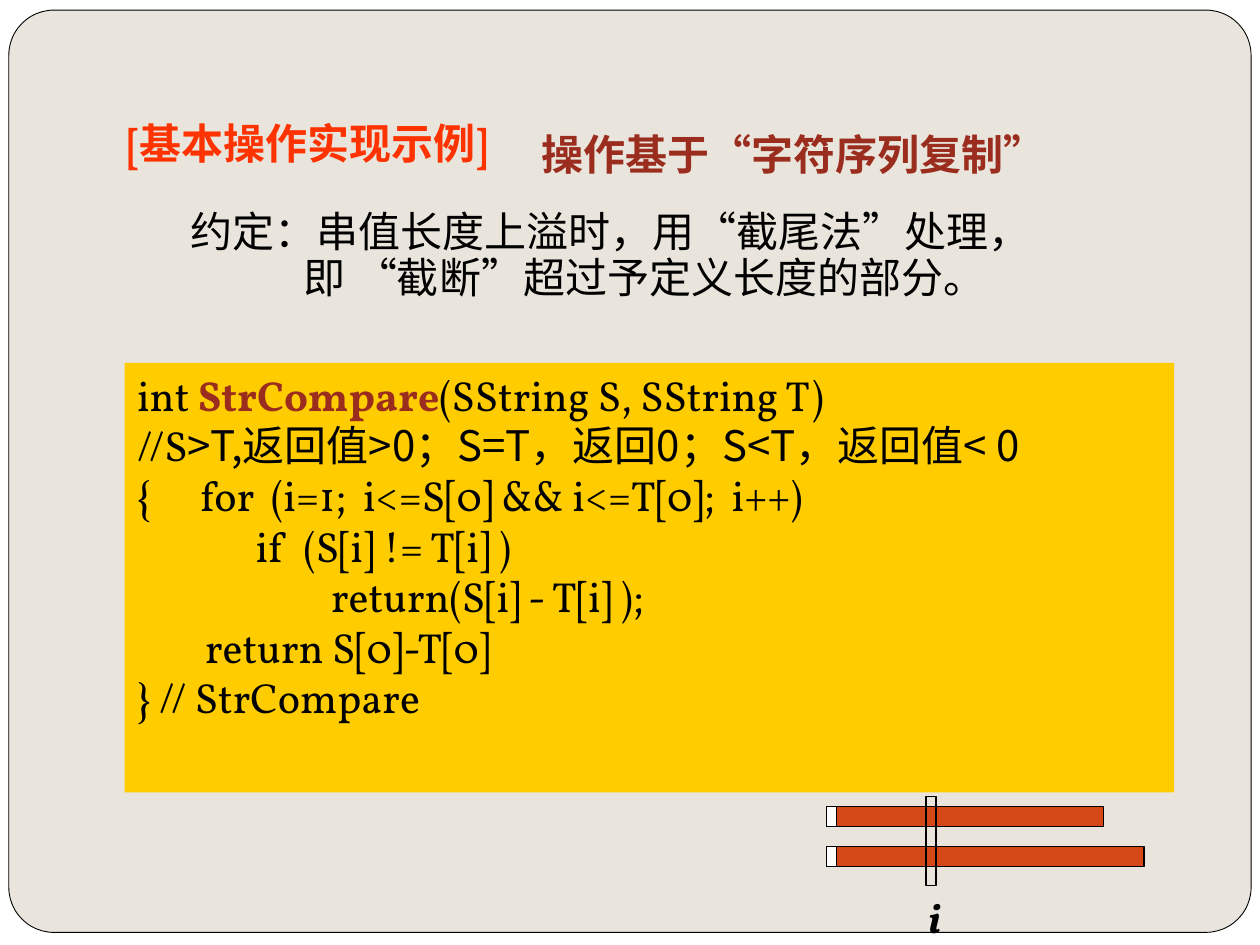
from lxml import etree
from pptx import Presentation
from pptx.dml.color import RGBColor
from pptx.enum.shapes import MSO_SHAPE
from pptx.enum.text import MSO_ANCHOR, PP_ALIGN
from pptx.oxml.ns import qn
from pptx.util import Inches, Pt

LATIN, CJK = "Vollkorn", "Noto Sans CJK SC"
BLACK = RGBColor(0, 0, 0)
WHITE = RGBColor(255, 255, 255)
PAPER = RGBColor(0xE9, 0xE5, 0xDC)
RED = RGBColor(0xFF, 0x33, 0x00)
MAROON = RGBColor(0x9B, 0x2D, 0x1F)
YELLOW = RGBColor(0xFF, 0xCC, 0x00)
ORANGE = RGBColor(0xD3, 0x48, 0x17)

# Content: paragraphs are (indent in inches, runs); runs are (text, format)
HEADING = [(0, [("[基本操作实现示例]", dict(color=RED, bold=True))])]
SUBHEADING = [(0, [("操作基于“字符序列复制”", dict(color=MAROON, bold=True))])]
CONVENTION = [
    (0.5, [("约定：串值长度上溢时，用“截尾法”处理，", {})]),
    (1.4, [("即 “截断”超过予定义长度的部分。", {})]),
]
CODE = [
    (0, [("int ", {}), ("StrCompare", dict(color=MAROON, bold=True)),
         ("(SString S, SString T)", {})]),
    (0, [("//S", {}),
         (">T,返回值>0；S=T，返回0；S<T，返回值< 0", dict(font=CJK))]),
    (0, [("{\tfor  (i=1;  i<=S[0] && i<=T[0];  i++)", {})]),
    (0.94, [("if  (S[i] != T[i] )", {})]),
    (1.54, [("return(S[i] - T[i] );", {})]),
    (0.54, [("return S[0]-T[0]", {})]),
    (0, [("} // StrCompare", {})]),
]
INDEX = [(0, [("i", dict(bold=True, italic=True))])]
FOR_TAB = 0.44
STRING_LENGTHS = [2.2, 2.52]

prs = Presentation()
prs.slide_width, prs.slide_height = Inches(10), Inches(7.5)
slide = prs.slides.add_slide(prs.slide_layouts[1])
shapes = slide.shapes


def place(shape, left, top, width, height):
    shape.left, shape.top = Inches(left), Inches(top)
    shape.width, shape.height = Inches(width), Inches(height)
    return shape


def write(shape, paragraphs, line_spacing=1.0):
    frame = shape.text_frame
    frame.word_wrap = True
    frame.vertical_anchor = MSO_ANCHOR.TOP
    for n, (indent, runs) in enumerate(paragraphs):
        para = frame.add_paragraph() if n else frame.paragraphs[0]
        para.alignment = PP_ALIGN.LEFT
        para.line_spacing = line_spacing
        para.space_before = Pt(0)
        props = para._p.get_or_add_pPr()
        props.set("marL", str(Inches(indent)))
        props.set("indent", "0")
        etree.SubElement(props, qn("a:buNone"))
        if "\t" in runs[0][0]:
            tabs = etree.SubElement(props, qn("a:tabLst"))
            etree.SubElement(tabs, qn("a:tab"), pos=str(Inches(FOR_TAB)), algn="l")
        for text, style in runs:
            run = para.add_run()
            run.text = text
            font = run.font
            font.size = Pt(24)
            font.name = style.get("font", LATIN)
            font.bold = style.get("bold", False)
            font.italic = style.get("italic", False)
            font.color.rgb = style.get("color", BLACK)
            etree.SubElement(run._r.get_or_add_rPr(), qn("a:ea"), typeface=CJK)


def box(left, top, width, height, fill=None, line=None, kind=MSO_SHAPE.RECTANGLE):
    shape = shapes.add_shape(kind, *map(Inches, (left, top, width, height)))
    shape.shadow.inherit = False
    if fill is None:
        shape.fill.background()
    else:
        shape.fill.solid()
        shape.fill.fore_color.rgb = fill
    if line is None:
        shape.line.fill.background()
    else:
        shape.line.color.rgb = BLACK
        shape.line.width = Pt(line)
    return shape


# Rounded page on a white background, behind everything
slide.background.fill.solid()
slide.background.fill.fore_color.rgb = WHITE
page = box(0.07, 0.08, 9.86, 7.32, PAPER, 0.5, MSO_SHAPE.ROUNDED_RECTANGLE)
page.adjustments[0] = 0.049
shapes._spTree.insert(2, page._element)

# Headings and convention
write(place(shapes.title, 0.91, 0.88, 3.5, 0.5), HEADING)
write(place(slide.placeholders[1], 0.91, 1.63, 7.67, 0.9), CONVENTION, 0.9)
write(shapes.add_textbox(*map(Inches, (4.2, 0.97, 4.57, 0.5))), SUBHEADING)

# Code panel
write(box(0.99, 2.88, 8.33, 3.41, YELLOW), CODE)

# Two strings with their length cells, and the index window
for row, length in enumerate(STRING_LENGTHS):
    top = 6.4 + row * 0.32
    box(6.56, top, length, 0.16, ORANGE, 0.75)
    box(6.56, top, 0.08, 0.16, WHITE, 0.75)
box(7.35, 6.32, 0.08, 0.71, line=0.75)
write(shapes.add_textbox(*map(Inches, (7.27, 7.03, 0.32, 0.5))), INDEX)

prs.save("out.pptx")
